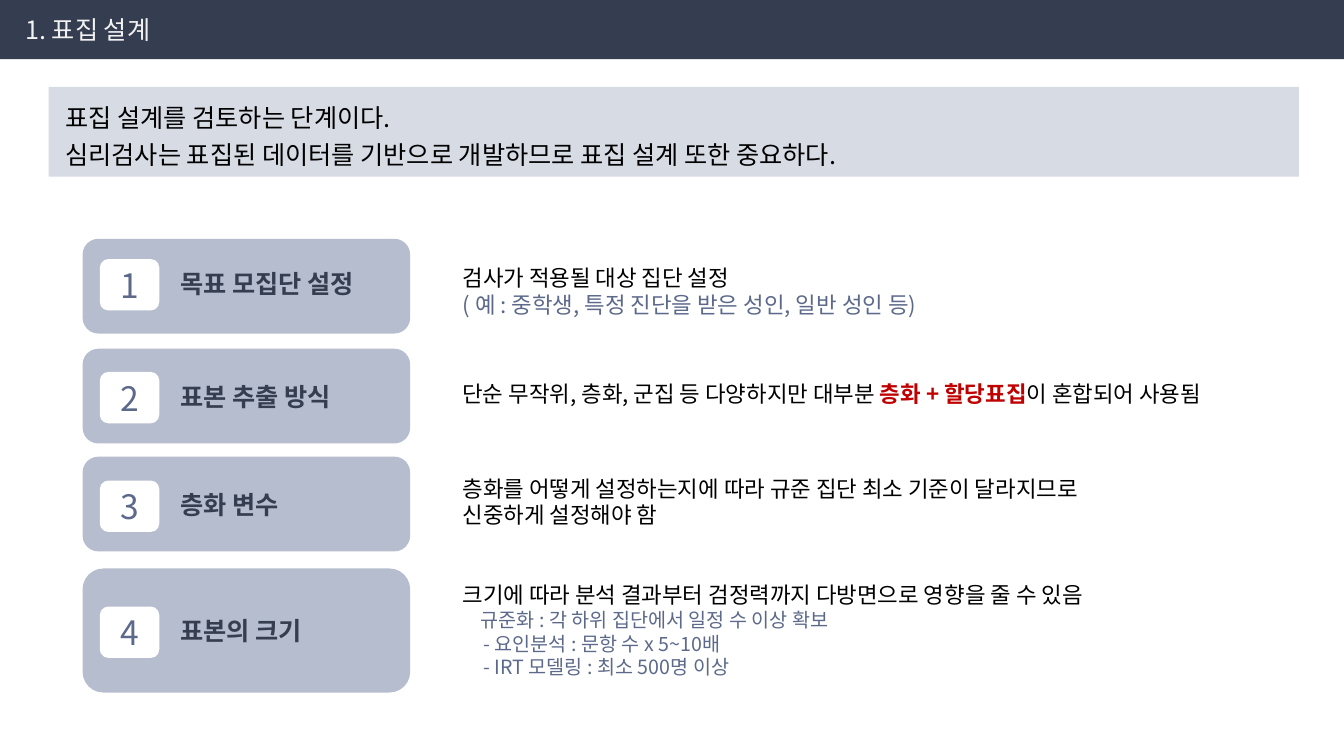
from dataclasses import dataclass

from lxml.etree import SubElement
from pptx import Presentation
from pptx.dml.color import RGBColor
from pptx.enum.shapes import MSO_SHAPE as Preset
from pptx.enum.text import MSO_ANCHOR as Anchor, MSO_AUTO_SIZE as AutoSize, PP_ALIGN as Align
from pptx.oxml.ns import qn
from pptx.util import Pt

FONT = "Noto Sans CJK KR"
BLACK = RGBColor(0x00, 0x00, 0x00)
WHITE = RGBColor(0xFF, 0xFF, 0xFF)
OFF_WHITE = RGBColor(0xF2, 0xF2, 0xF2)
NAVY = RGBColor(0x35, 0x3D, 0x50)
SLATE = RGBColor(0x5C, 0x69, 0x8A)
CARD_BLUE = RGBColor(0xB6, 0xBD, 0xCE)
PALE_BLUE = RGBColor(0xD7, 0xDB, 0xE4)
RED = RGBColor(0xC0, 0x00, 0x00)

CARD_LEFT, CARD_WIDTH = 59, 234
BADGE_LEFT, BADGE_WIDTH, BADGE_HEIGHT = 71.3, 42.5, 36.7
LABEL_LEFT, LABEL_WIDTH, LABEL_HEIGHT = 121.7, 188, 29
DETAIL_LEFT = 323.3


@dataclass
class Line:
    """One paragraph: its (text, colour, bold) spans, size and indent."""
    spans: list
    size: float = 16
    indent: float = 0


@dataclass
class Step:
    """One sampling step, with its vertical layout in points."""
    label: str
    card_top: float
    card_height: float
    middle: float
    detail_box: tuple
    details: list


def plain(text, color=BLACK, **layout):
    """Return a line of one colour."""
    return Line([(text, color, False)], **layout)


STEPS = [
    Step("목표 모집단 설정", 170.6, 67.7, 203.4, (185, 569.5, 46), [
        plain("검사가 적용될 대상 집단 설정"),
        plain("( 예 : 중학생, 특정 진단을 받은 성인, 일반 성인 등)", SLATE),
    ]),
    Step("표본 추출 방식", 249.1, 67.7, 284, (267.8, 542.9, 26.6), [
        Line([("단순 무작위, 층화, 군집 등 다양하지만 대부분 ", BLACK, False),
              ("층화 + 할당표집", RED, True),
              ("이 혼합되어 사용됨", BLACK, False)]),
    ]),
    Step("층화 변수", 326.2, 67.7, 361.6, (335.5, 550.8, 46), [
        plain("층화를 어떻게 설정하는지에 따라 규준 집단 최소 기준이 달라지므로"),
        plain("신중하게 설정해야 함"),
    ]),
    Step("표본의 크기", 406.1, 88.6, 451.6, (411.8, 500.4, 80), [
        plain("크기에 따라 분석 결과부터 검정력까지 다방면으로 영향을 줄 수 있음"),
        plain("규준화 : 각 하위 집단에서 일정 수 이상 확보", SLATE, size=14, indent=13),
        plain("- 요인분석 : 문항 수 x 5~10배", SLATE, size=14, indent=15),
        plain("- IRT 모델링 : 최소 500명 이상", SLATE, size=14, indent=15),
    ]),
]


def write_run(paragraph, text, *, size, color, bold=False):
    """Add formatted text, with the font set for Latin and Korean letters."""
    run = paragraph.add_run()
    run.text = text
    run.font.size = Pt(size)
    run.font.bold = bold
    run.font.color.rgb = color
    run.font.name = FONT
    SubElement(run.font._element, qn("a:ea")).set("typeface", FONT)


def add_block(slide, preset, box, color):
    """Add a flat filled shape without outline."""
    block = slide.shapes.add_shape(preset, *map(Pt, box))
    block.shadow.inherit = False
    block.fill.solid()
    block.fill.fore_color.rgb = color
    block.line.fill.background()
    block.text_frame.vertical_anchor = Anchor.MIDDLE
    return block


def add_lines(slide, box, lines, spacing=None):
    """Add a wrapping text box holding the given lines."""
    frame = slide.shapes.add_textbox(*map(Pt, box)).text_frame
    frame.word_wrap = True
    frame.auto_size = AutoSize.SHAPE_TO_FIT_TEXT
    for index, line in enumerate(lines):
        paragraph = frame.add_paragraph() if index else frame.paragraphs[0]
        paragraph.line_spacing = spacing
        if line.indent:
            paragraph._p.get_or_add_pPr().set("marL", str(Pt(line.indent)))
        for text, color, bold in line.spans:
            write_run(paragraph, text, size=line.size, color=color, bold=bold)


def add_header(slide):
    """Add the title bar across the top."""
    header = add_block(slide, Preset.RECTANGLE, (0, 0, 960, 42.3), NAVY)
    header.text_frame.margin_left = Pt(18)
    title = header.text_frame.paragraphs[0]
    title.alignment = Align.LEFT
    write_run(title, "1. 표집 설계", size=18, color=OFF_WHITE)


def add_summary(slide):
    """Add the pale band with the two summary sentences."""
    add_block(slide, Preset.RECTANGLE, (34.8, 62, 893, 64.2), PALE_BLUE)
    add_lines(slide, (39.6, 65.5, 792, 58.3), [
        plain("표집 설계를 검토하는 단계이다.", size=18),
        plain("심리검사는 표집된 데이터를 기반으로 개발하므로 표집 설계 또한 중요하다.", size=18),
    ], spacing=1.2)


def add_step(slide, number, step):
    """Add a step's card, number badge, label and details."""
    add_block(slide, Preset.ROUNDED_RECTANGLE,
              (CARD_LEFT, step.card_top, CARD_WIDTH, step.card_height), CARD_BLUE)
    badge = add_block(slide, Preset.FLOWCHART_ALTERNATE_PROCESS,
                      (BADGE_LEFT, step.middle - BADGE_HEIGHT / 2,
                       BADGE_WIDTH, BADGE_HEIGHT), WHITE)
    digit = badge.text_frame.paragraphs[0]
    digit.alignment = Align.CENTER
    write_run(digit, str(number), size=24, color=SLATE)
    label_top = step.middle - 0.8 - LABEL_HEIGHT / 2
    add_lines(slide, (LABEL_LEFT, label_top, LABEL_WIDTH, LABEL_HEIGHT),
              [Line([(step.label, NAVY, True)], size=18)])
    add_lines(slide, (DETAIL_LEFT, *step.detail_box), step.details)


def main():
    """Build the sampling design slide."""
    deck = Presentation()
    deck.slide_width, deck.slide_height = Pt(960), Pt(540)
    slide = deck.slides.add_slide(deck.slide_layouts[6])
    add_header(slide)
    add_summary(slide)
    for number, step in enumerate(STEPS, start=1):
        add_step(slide, number, step)
    deck.save("out.pptx")


if __name__ == "__main__":
    main()
